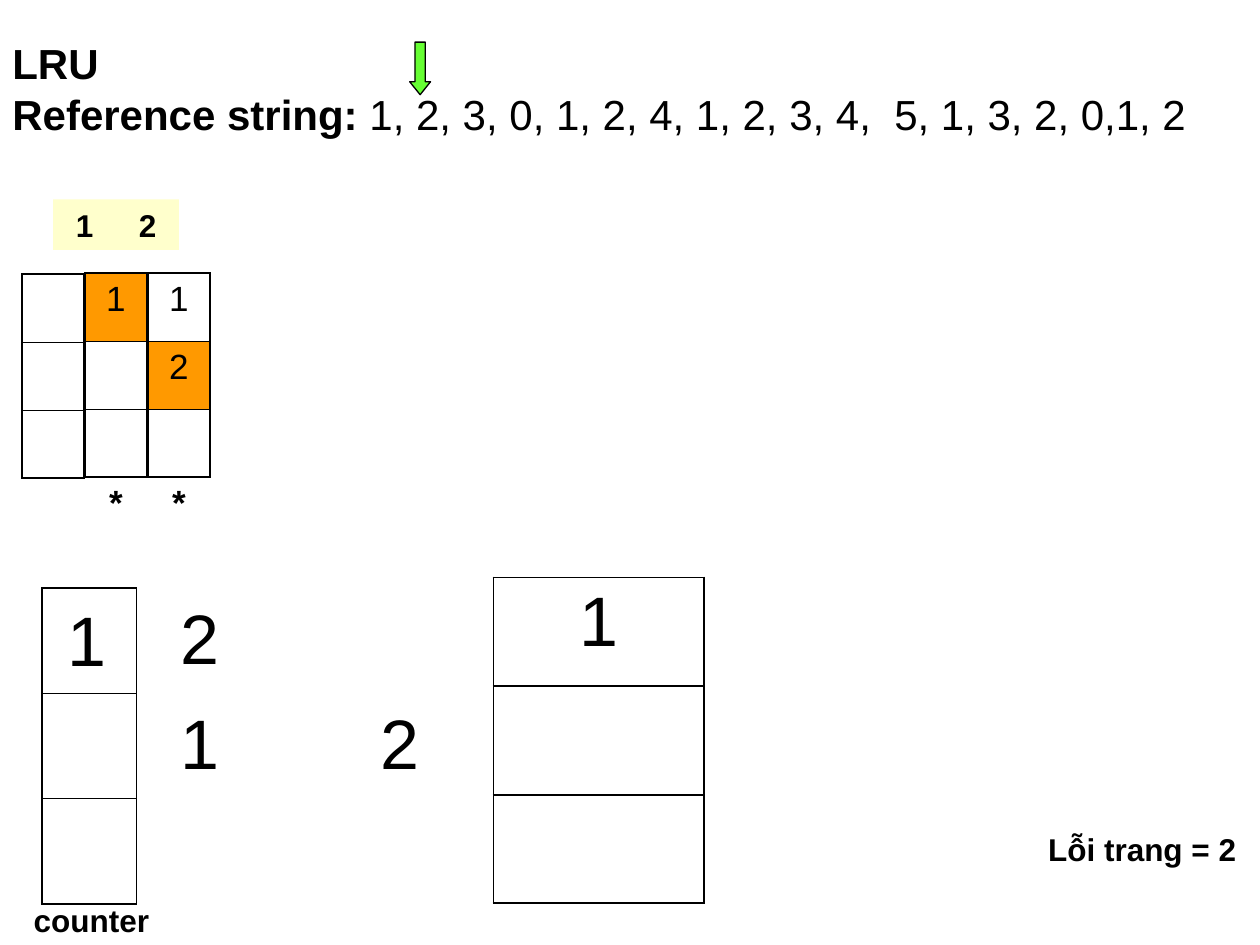
from typing import NamedTuple, Optional

from lxml.etree import SubElement
from pptx import Presentation
from pptx.dml.color import RGBColor
from pptx.enum.shapes import MSO_SHAPE
from pptx.enum.text import MSO_ANCHOR, MSO_AUTO_SIZE, PP_ALIGN
from pptx.oxml.ns import qn
from pptx.util import Cm, Pt

BLACK, ORANGE, CREAM, GREEN = "000000", "FF9900", "FFFFCC", "66FF33"
THICK, THIN = 1.08, 0.45


class Label(NamedTuple):
    text: str
    left: float
    top: float
    width: float
    height: float
    size: int
    bold: bool = False


class Frames(NamedTuple):
    left: float
    top: float
    width: float
    row_height: float
    values: tuple
    size: int
    inner: float = THICK
    loaded: Optional[int] = None
    marker: Optional[str] = None


class Reference(NamedTuple):
    page: str
    left: float


LABELS = (
    Label("Lỗi trang = 2", 20.88, 16.61, 4.5, 1.02, 18, True),
    Label("counter", 0.43, 18.03, 3.1, 1.02, 18, True),
    Label("1", 1.11, 11.91, 1.4, 1.96, 40),
    Label("2", 3.39, 11.86, 1.4, 1.96, 40),
    Label("1", 3.39, 13.97, 1.4, 1.96, 40),
    Label("2", 7.42, 13.97, 1.4, 1.96, 40),
)
MEMORY = (
    Frames(1.71, 5.51, 1.25, 1.37, ("1", "", ""), 20, THIN, 0, "*"),
    Frames(2.98, 5.51, 1.25, 1.37, ("1", "2", ""), 20, THIN, 1, "*"),
    Frames(0.45, 5.53, 1.25, 1.37, ("", "", ""), 20, THIN, None, ""),
    Frames(9.95, 11.64, 4.24, 2.19, ("1", "", ""), 40),
    Frames(0.85, 11.86, 1.9, 2.12, ("", "", ""), 40),
)
REFERENCES = (Reference("1", 1.07), Reference("2", 2.34))


def color(value: str) -> RGBColor:
    """Turn a hex string into a colour."""
    return RGBColor.from_string(value)


def style(run, size: int, bold: bool = False) -> None:
    """Give a run the slide's black Arial lettering."""
    run.font.name, run.font.size, run.font.bold = "Arial", Pt(size), bold
    run.font.color.rgb = color(BLACK)


def set_borders(cell, widths: dict) -> None:
    """Draw the four cell borders, leaving out those of zero width."""
    properties = cell._tc.get_or_add_tcPr()
    for position, side in enumerate("LRTB"):
        width = widths.get(side, 0)
        border = SubElement(properties, qn(f"a:ln{side}"), w=str(Pt(width)))
        if width:
            fill = SubElement(border, qn("a:solidFill"))
            SubElement(fill, qn("a:srgbClr"), val=BLACK)
        else:
            SubElement(border, qn("a:noFill"))
        properties.insert(position, border)


def fill_cell(cell, text: str, size: int, bold: bool, fill: Optional[str]) -> None:
    """Write one centred value and paint or clear the cell."""
    if text:
        cell.text_frame.text = text
        paragraph = cell.text_frame.paragraphs[0]
        paragraph.alignment = PP_ALIGN.CENTER
        style(paragraph.runs[0], size, bold)
    if fill:
        cell.fill.solid()
        cell.fill.fore_color.rgb = color(fill)
    else:
        cell.fill.background()


def draw_frames(slide, frames: Frames) -> None:
    """Draw a column of page frames with an optional fault marker below."""
    count = len(frames.values)
    rows = count + (frames.marker is not None)
    table = slide.shapes.add_table(
        rows, 1, Cm(frames.left), Cm(frames.top),
        Cm(frames.width), Cm(frames.row_height * rows)).table
    table.first_row = table.horz_banding = False
    for index, value in enumerate(frames.values):
        cell = table.cell(index, 0)
        fill_cell(cell, value, frames.size, False,
                  ORANGE if index == frames.loaded else None)
        set_borders(cell, {
            "L": THICK, "R": THICK,
            "T": frames.inner if index else THICK,
            "B": frames.inner if index < count - 1 else THICK})
    if frames.marker is not None:
        cell = table.cell(count, 0)
        fill_cell(cell, frames.marker, frames.size, True, None)
        set_borders(cell, {"T": THICK})


def draw_label(slide, label: Label) -> None:
    """Add one line of text in a box wide enough to hold it."""
    frame = slide.shapes.add_textbox(
        Cm(label.left), Cm(label.top), Cm(label.width), Cm(label.height)).text_frame
    frame.word_wrap = True
    frame.auto_size = MSO_AUTO_SIZE.SHAPE_TO_FIT_TEXT
    frame.text = label.text
    style(frame.paragraphs[0].runs[0], label.size, label.bold)


def draw_reference(slide, reference: Reference) -> None:
    """Add the cream heading of one referenced page."""
    heading = slide.shapes.add_shape(
        MSO_SHAPE.RECTANGLE, Cm(reference.left), Cm(4.02), Cm(1.27), Cm(1.02))
    heading.shadow.inherit = False
    heading.fill.solid()
    heading.fill.fore_color.rgb = color(CREAM)
    heading.line.fill.background()
    frame = heading.text_frame
    frame.vertical_anchor = MSO_ANCHOR.TOP
    frame.auto_size = MSO_AUTO_SIZE.SHAPE_TO_FIT_TEXT
    frame.text = reference.page
    frame.paragraphs[0].alignment = PP_ALIGN.CENTER
    style(frame.paragraphs[0].runs[0], 18, True)


def draw_heading(slide) -> None:
    """Add the algorithm name and the reference string."""
    frame = slide.shapes.add_textbox(Cm(0), Cm(0.64), Cm(25.4), Cm(2.29)).text_frame
    frame.word_wrap = True
    frame.auto_size = MSO_AUTO_SIZE.SHAPE_TO_FIT_TEXT
    frame.text = "LRU\nReference string:"
    for paragraph in frame.paragraphs:
        style(paragraph.runs[0], 24, True)
    pages = frame.paragraphs[1].add_run()
    pages.text = " 1, 2, 3, 0, 1, 2, 4, 1, 2, 3, 4,  5, 1, 3, 2, 0,1, 2"
    style(pages, 24)


def draw_pointer(slide) -> None:
    """Add the green arrow above the current reference."""
    pointer = slide.shapes.add_shape(
        MSO_SHAPE.DOWN_ARROW, Cm(8.26), Cm(0.85), Cm(0.42), Cm(1.06))
    pointer.shadow.inherit = False
    pointer.adjustments[1] = 0.62
    pointer.fill.solid()
    pointer.fill.fore_color.rgb = color(GREEN)
    pointer.line.color.rgb = color(BLACK)
    pointer.line.width = Pt(0.75)


def main() -> None:
    """Build the slide and save it."""
    presentation = Presentation()
    presentation.slide_width, presentation.slide_height = Cm(25.4), Cm(19.05)
    slide = presentation.slides.add_slide(presentation.slide_layouts[6])
    draw_heading(slide)
    for reference in REFERENCES:
        draw_reference(slide, reference)
    for frames in MEMORY:
        draw_frames(slide, frames)
    draw_pointer(slide)
    for label in LABELS:
        draw_label(slide, label)
    presentation.save("out.pptx")


if __name__ == "__main__":
    main()
